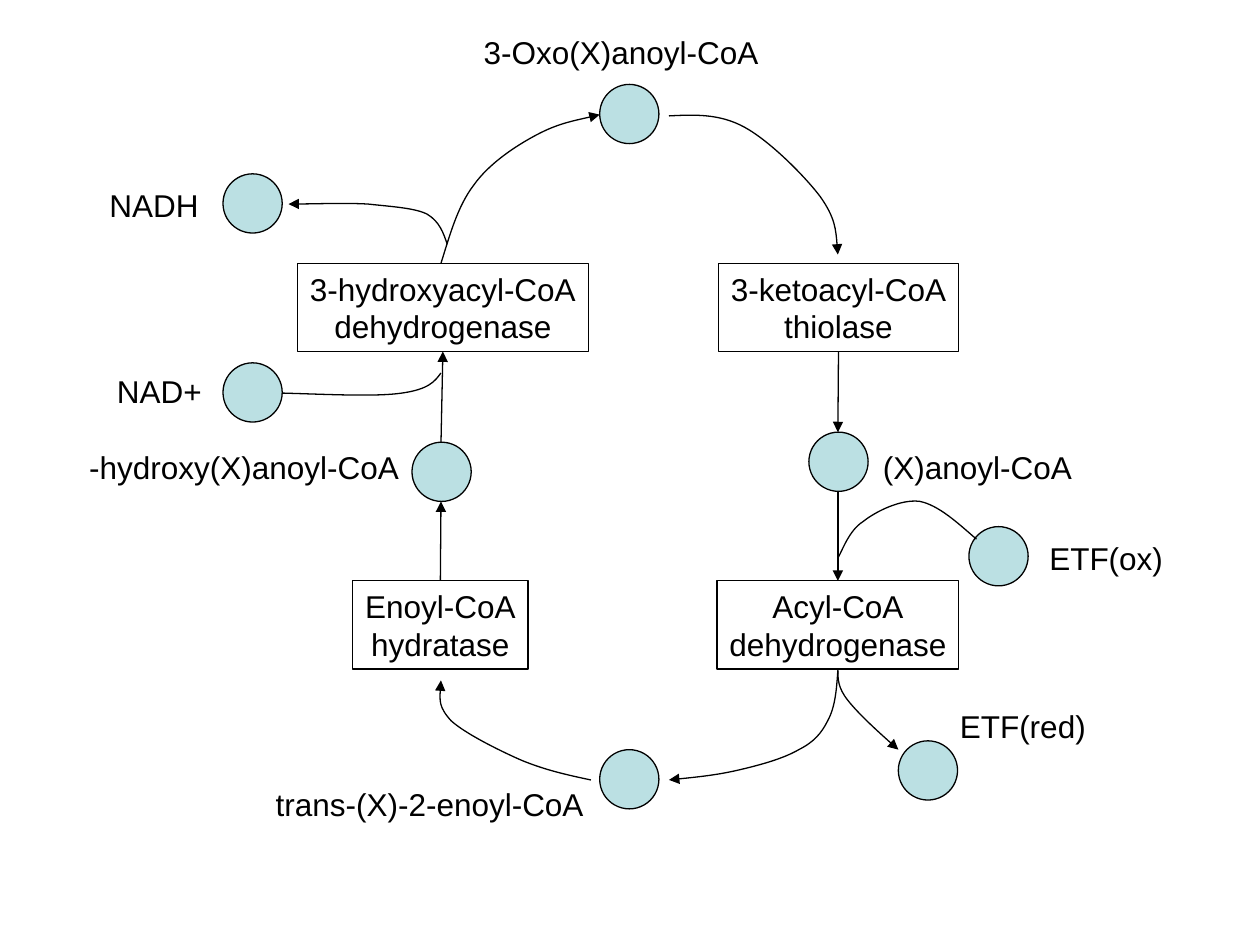
from pptx import Presentation
from pptx.dml.color import RGBColor
from pptx.enum.shapes import MSO_CONNECTOR as CONN, MSO_SHAPE as SHAPE
from pptx.enum.text import MSO_AUTO_SIZE as AUTO, PP_ALIGN as ALIGN
from pptx.oxml.ns import qn
from pptx.util import Inches, Pt
from lxml import etree

COLORS = {"ink": "000000", "node": "BBE0E3"}
INK = RGBColor.from_string(COLORS["ink"])
NODE = RGBColor.from_string(COLORS["node"])
DIAMETER = 0.47

prs = Presentation()
prs.slide_width, prs.slide_height = Inches(10), Inches(7.5)
shapes = prs.slides.add_slide(prs.slide_layouts[6]).shapes


def set_text(sp, text, align, left_margin):
    tf = sp.text_frame
    tf.word_wrap = False
    tf.auto_size = AUTO.NONE
    tf.margin_left, tf.margin_right = Inches(left_margin), Inches(0.05)
    tf.text = text
    for p in tf.paragraphs:
        p.alignment = align
        p.font.name, p.font.size = "Arial", Pt(18)
        p.font.color.rgb = INK


def style_line(sp, arrow=False):
    sp.line.color.rgb = INK
    sp.line.width = Pt(0.75)
    if arrow:
        etree.SubElement(sp.line._get_or_add_ln(), qn("a:tailEnd"), type="triangle")


# Enzymes: name, left, top, width
enzymes = {}
for name, x, y, w in [
    ("3-ketoacyl-CoA\nthiolase", 5.7, 2.09, 1.91),
    ("Acyl-CoA\ndehydrogenase", 5.69, 4.61, 1.92),
    ("Enoyl-CoA\nhydratase", 2.8, 4.61, 1.39),
    ("3-hydroxyacyl-CoA\ndehydrogenase", 2.36, 2.09, 2.31),
]:
    sp = shapes.add_shape(SHAPE.RECTANGLE, Inches(x), Inches(y), Inches(w), Inches(0.7))
    sp.shadow.inherit = False
    sp.fill.background()
    style_line(sp)
    set_text(sp, name, ALIGN.CENTER, 0.05)
    enzymes[name.split("\n")[0]] = sp

# Metabolites: name, circle left and top, label left, top and width
for name, x, y, label_x, label_y, label_w in [
    ("3-Oxo(X)anoyl-CoA", 4.76, 0.67, 3.74, 0.21, 2.38),
    ("(X)anoyl-CoA", 6.42, 3.43, 6.91, 3.51, 1.7),
    ("ETF(ox)", 7.69, 4.18, 8.23, 4.23, 1.1),
    ("ETF(red)", 7.13, 5.88, 7.52, 5.56, 1.2),
    ("trans-(X)-2-enoyl-CoA", 4.76, 5.95, 2.09, 6.18, 2.64),
    ("-hydroxy(X)anoyl-CoA", 3.27, 3.51, 0.61, 3.51, 2.66),
    ("NAD+", 1.77, 2.88, 0.83, 2.9, 0.87),
    ("NADH", 1.77, 1.38, 0.77, 1.43, 0.91),
]:
    sp = shapes.add_shape(SHAPE.OVAL, Inches(x), Inches(y), Inches(DIAMETER), Inches(DIAMETER))
    sp.shadow.inherit = False
    sp.fill.solid()
    sp.fill.fore_color.rgb = NODE
    style_line(sp)
    label = shapes.add_textbox(Inches(label_x), Inches(label_y), Inches(label_w), Inches(0.4))
    set_text(label, name, ALIGN.LEFT, 0.1)

# Straight steps: start, end, enzyme left, enzyme reached
for start, end, source, target in [
    ((6.65, 2.79), (6.65, 3.43), "3-ketoacyl-CoA", None),
    ((6.65, 3.9), (6.65, 4.61), None, "Acyl-CoA"),
    ((3.5, 4.61), (3.5, 3.98), "Enoyl-CoA", None),
    ((3.5, 3.51), (3.51, 2.79), None, "3-hydroxyacyl-CoA"),
]:
    cx = shapes.add_connector(CONN.STRAIGHT, *map(Inches, start + end))
    downward = end[1] > start[1]
    if source:
        cx.begin_connect(enzymes[source], 2 if downward else 0)
    if target:
        cx.end_connect(enzymes[target], 0 if downward else 2)
    style_line(cx, arrow=True)
    etree.SubElement(cx._element.spPr, qn("a:effectLst"))

# Curved steps: arrow or not, then a start point and three Bezier points per segment
for arrow, points in [
    (False, [(7.75, 4.28), (7.6, 4.15), (7.45, 4.01), (7.3, 3.98), (7.15, 3.96),
             (6.95, 4.06), (6.85, 4.14), (6.74, 4.21), (6.69, 4.36), (6.65, 4.43)]),
    (False, [(2.24, 3.12), (2.61, 3.13), (2.98, 3.15), (3.19, 3.12),
             (3.4, 3.09), (3.45, 3.03), (3.5, 2.96)]),
    (True, [(3.5, 2.09), (3.57, 1.87), (3.63, 1.64), (3.76, 1.47), (3.88, 1.3),
            (4.09, 1.16), (4.26, 1.07), (4.43, 0.98), (4.6, 0.95), (4.76, 0.91)]),
    (True, [(3.55, 1.94), (3.52, 1.85), (3.49, 1.76), (3.39, 1.7), (3.29, 1.65),
            (3.1, 1.64), (2.92, 1.62), (2.73, 1.61), (2.51, 1.62), (2.29, 1.62)]),
    (True, [(5.31, 0.92), (5.51, 0.91), (5.71, 0.9), (5.91, 1.01), (6.11, 1.12),
            (6.38, 1.39), (6.51, 1.56), (6.63, 1.73), (6.64, 1.87), (6.65, 2.02)]),
    (True, [(6.65, 5.32), (6.64, 5.47), (6.63, 5.61), (6.57, 5.72), (6.52, 5.82),
            (6.46, 5.89), (6.34, 5.95), (6.22, 6.02), (6.04, 6.07), (5.87, 6.11),
            (5.7, 6.15), (5.51, 6.17), (5.31, 6.19)]),
    (True, [(4.69, 6.19), (4.5, 6.15), (4.32, 6.11), (4.13, 6.03), (3.95, 5.95),
            (3.69, 5.82), (3.58, 5.72), (3.48, 5.61), (3.49, 5.51), (3.5, 5.4)]),
    (True, [(6.65, 5.32), (6.65, 5.39), (6.65, 5.46), (6.73, 5.56),
            (6.81, 5.66), (6.97, 5.81), (7.13, 5.95)]),
]:
    start, *rest = [(Inches(x), Inches(y)) for x, y in points]
    builder = shapes.build_freeform(*start)
    builder.add_line_segments(rest, close=False)
    sp = builder.convert_to_shape()
    # Turn every three line segments into one Bezier segment
    lines = list(sp._element.iter(qn("a:lnTo")))
    for i in range(0, len(lines), 3):
        bezier = etree.Element(qn("a:cubicBezTo"))
        lines[i].addprevious(bezier)
        for line in lines[i:i + 3]:
            bezier.append(line[0])
            line.getparent().remove(line)
    sp.shadow.inherit = False
    sp.fill.background()
    style_line(sp, arrow)

prs.save("out.pptx")
